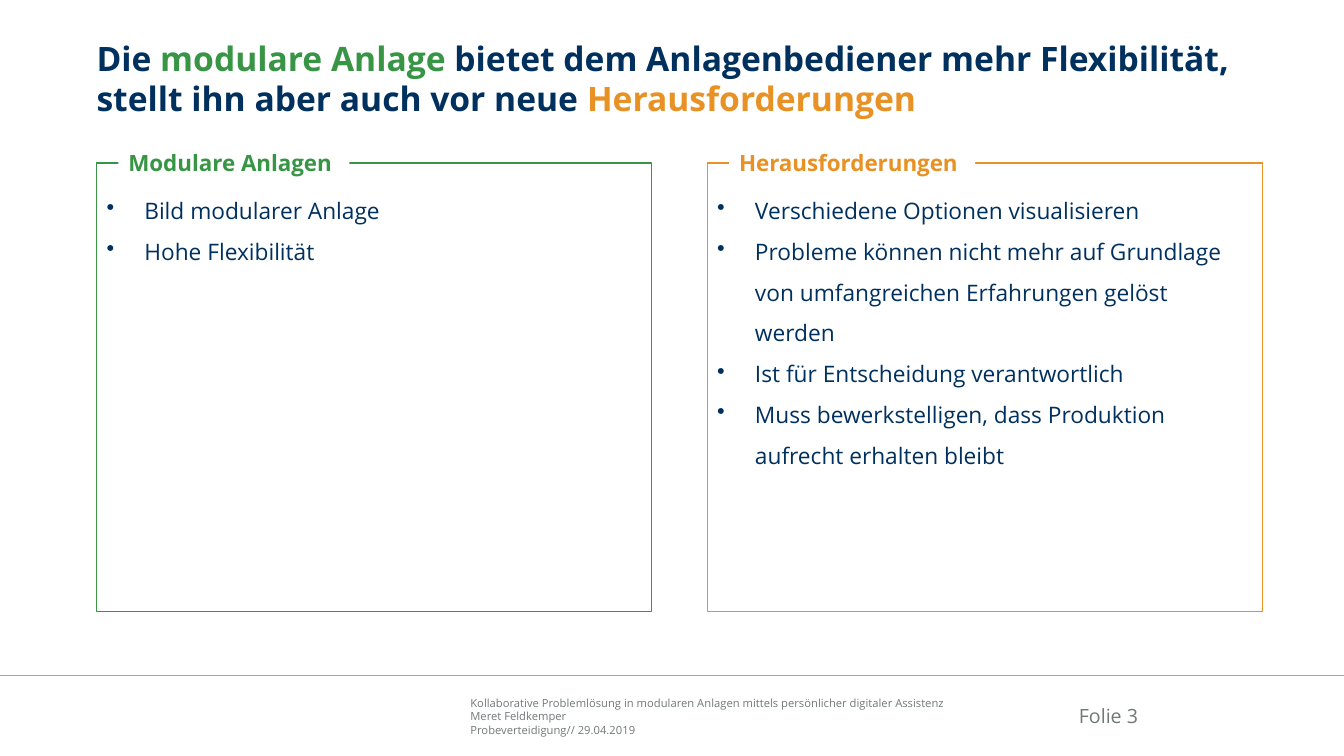
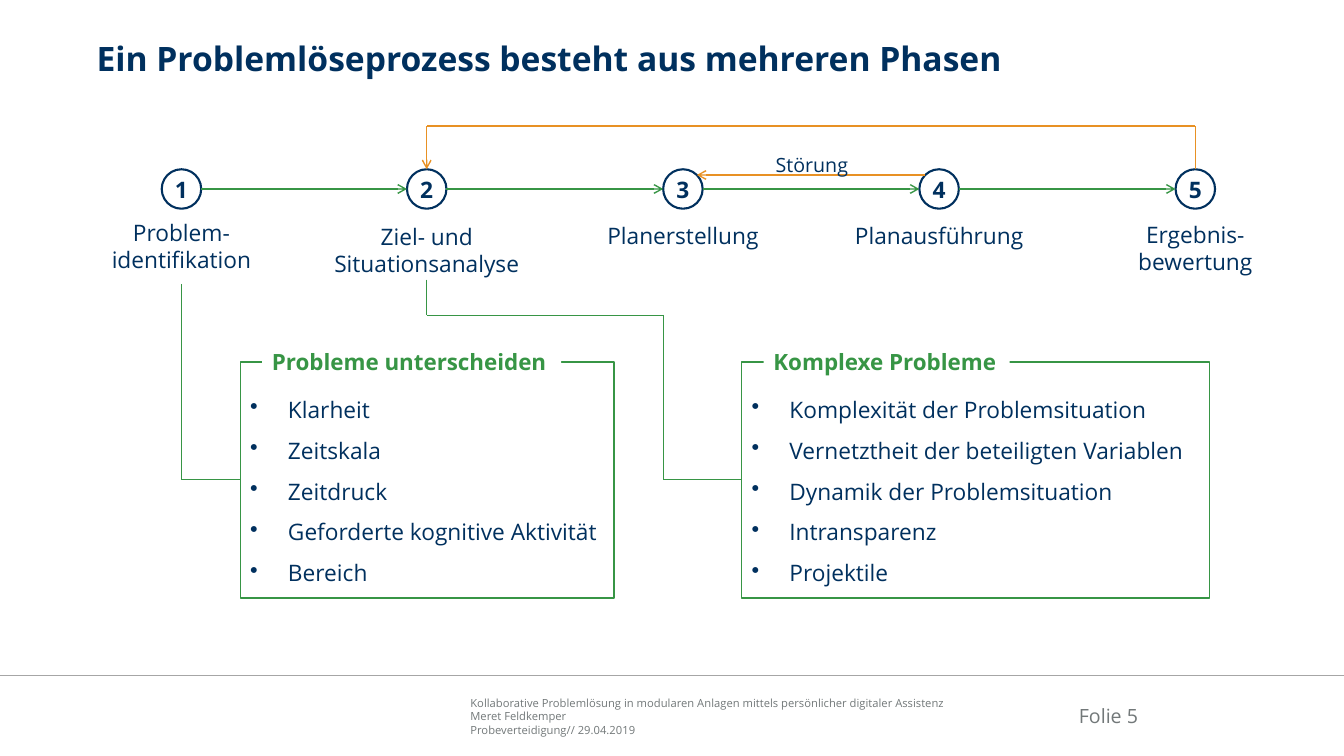
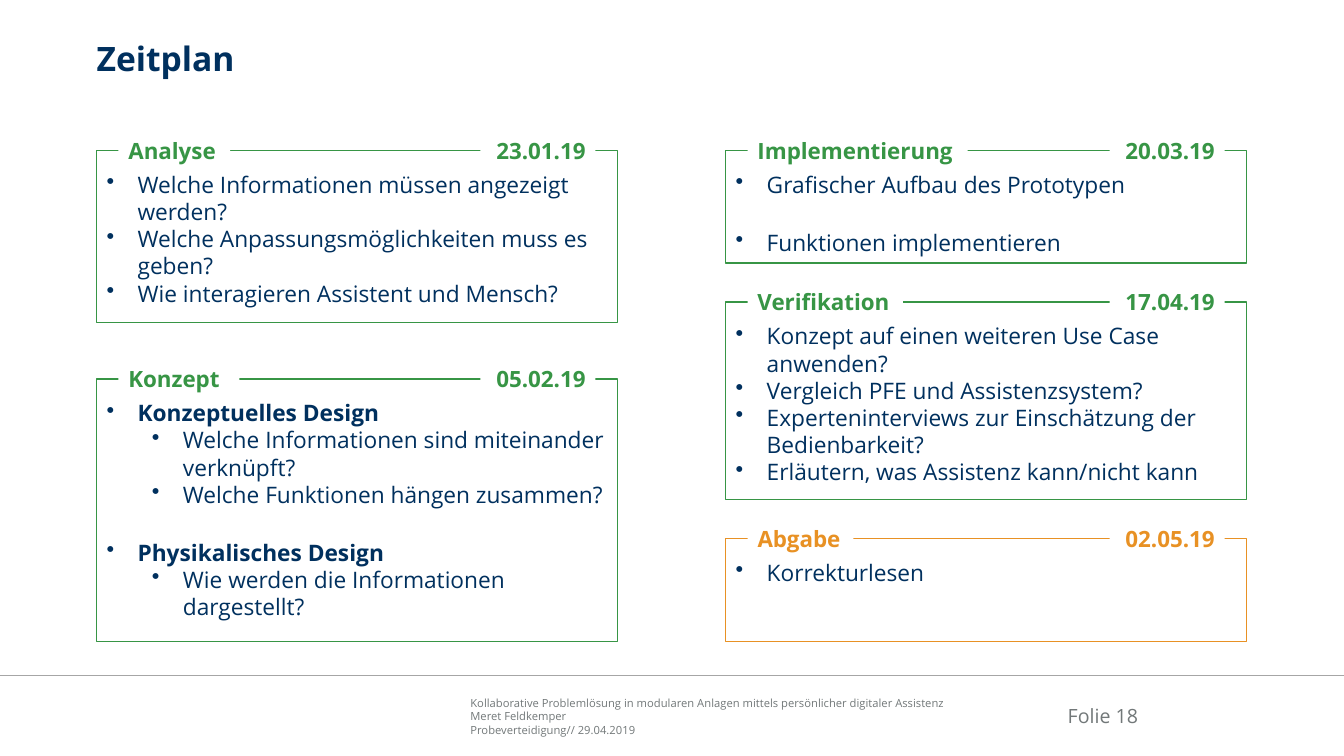
from dataclasses import dataclass
from itertools import pairwise

from lxml import etree
from pptx import Presentation
from pptx.dml.color import RGBColor
from pptx.enum.shapes import MSO_CONNECTOR, MSO_SHAPE
from pptx.enum.text import MSO_ANCHOR, PP_ALIGN
from pptx.oxml.ns import qn
from pptx.util import Inches, Pt

LEFT, CENTER, RIGHT = PP_ALIGN.LEFT, PP_ALIGN.CENTER, PP_ALIGN.RIGHT
TOP, MIDDLE, BOTTOM = MSO_ANCHOR.TOP, MSO_ANCHOR.MIDDLE, MSO_ANCHOR.BOTTOM
RECTANGLE, OVAL = MSO_SHAPE.RECTANGLE, MSO_SHAPE.OVAL
STRAIGHT = MSO_CONNECTOR.STRAIGHT

NAVY = RGBColor(0x00, 0x30, 0x5E)
GREEN = RGBColor(0x37, 0x95, 0x45)
ORANGE = RGBColor(0xE8, 0x91, 0x24)
GREY = RGBColor(0x72, 0x78, 0x79)
RULE_GREY = RGBColor(0xA6, 0xA6, 0xA6)
WHITE = RGBColor(0xFF, 0xFF, 0xFF)

FONT = "Open Sans"
BODY_SIZE = 16.2
BLANK_LAYOUT = 6

# Square grid cells, one twelfth of an inch each
COLUMNS, ROWS = 160, 90
MARGIN = 11.5
INSETS = (1.2, 0.6, 1.2, 0.6)
FRAME_INSETS = (1.2, 2.4, 1.2, 0.6)
LABEL_INSETS = (1.2, 1.2, 1.2, 0.6)
NO_INSETS = (0, 0, 0, 0)
TAG_HEIGHT, TAG_OFFSET, DATE_WIDTH = 4.4, 2.6, 13.7
CIRCLE_SIZE, CIRCLE_MIDDLE = 4.7, 22.5

FOOTER = [
    "Kollaborative Problemlösung in modularen Anlagen mittels persönlicher digitaler Assistenz",
    "Meret Feldkemper",
    "Probeverteidigung// 29.04.2019",
]


@dataclass
class Item:
    """A bullet; gap is the space before it in points."""
    text: str
    level: int = 0
    bold: bool = False
    gap: float = 0


class Deck:
    def __init__(self):
        self.presentation = Presentation()
        self.presentation.slide_width = Inches(COLUMNS / 12)
        self.presentation.slide_height = Inches(ROWS / 12)
        self.cell = self.presentation.slide_width / COLUMNS
        self.slide = None

    def cells(self, *counts):
        return [round(count * self.cell) for count in counts]

    def new_slide(self, number, *title_parts):
        """Start a slide; each title part is a (text, colour) pair."""
        layout = self.presentation.slide_layouts[BLANK_LAYOUT]
        self.slide = self.presentation.slides.add_slide(layout)
        self.text((56, 82.9, 59, 4.8), FOOTER, 8, GREY, anchor=BOTTOM)
        self.route([(0, 80.4), (COLUMNS, 80.4)], RULE_GREY)
        self.text((123.5, 83, 12, 3.6), [f"Folie {number}"], 14, GREY,
                  align=RIGHT, anchor=BOTTOM)
        title = self.text((MARGIN, 4.5, 139, 9), [""], 24, NAVY, bold=True)
        for text, color in title_parts:
            run = title.text_frame.paragraphs[0].add_run()
            run.text = text
            run.font.color.rgb = color

    def style(self, paragraph, size, color, bold=False, align=LEFT, spacing=1.0):
        paragraph.alignment = align
        paragraph.line_spacing = spacing
        font = paragraph.font
        font.name, font.size, font.bold = FONT, Pt(size), bold
        font.color.rgb = color

    def prepare(self, shape, insets, anchor):
        text_frame = shape.text_frame
        text_frame.word_wrap = True
        text_frame.vertical_anchor = anchor
        (text_frame.margin_left, text_frame.margin_top,
         text_frame.margin_right, text_frame.margin_bottom) = self.cells(*insets)
        return text_frame

    def text(self, box, lines, size=BODY_SIZE, color=NAVY, bold=False,
             align=LEFT, anchor=TOP, insets=NO_INSETS, spacing=1.0):
        shape = self.slide.shapes.add_textbox(*self.cells(*box))
        self.fill_text(shape, lines, size, color, bold, align, anchor, insets, spacing)
        return shape

    def fill_text(self, shape, lines, size, color, bold, align, anchor, insets, spacing=1.0):
        text_frame = self.prepare(shape, insets, anchor)
        text_frame.text = "\n".join(lines)
        for paragraph in text_frame.paragraphs:
            self.style(paragraph, size, color, bold, align, spacing)

    def shape(self, kind, box, fill=None, line=None, width=1):
        shape = self.slide.shapes.add_shape(kind, *self.cells(*box))
        shape.shadow.inherit = False
        if fill is None:
            shape.fill.background()
        else:
            shape.fill.solid()
            shape.fill.fore_color.rgb = fill
        if line is None:
            shape.line.fill.background()
        else:
            shape.line.color.rgb = line
            shape.line.width = Pt(width)
        return shape

    def tag(self, left, frame_top, width, text, color, align=LEFT):
        """White label that interrupts the top edge of a frame."""
        box = (left, frame_top - TAG_HEIGHT / 2, width, TAG_HEIGHT)
        shape = self.shape(RECTANGLE, box, WHITE)
        self.fill_text(shape, [text], 16, color, True, align, MIDDLE, INSETS)

    def frame(self, box, heading, heading_width, items, color=GREEN,
              date=None, spacing=1.5, indent=4.5):
        left, top, width, _ = box
        shape = self.shape(RECTANGLE, box, WHITE, color)
        text_frame = self.prepare(shape, FRAME_INSETS, TOP)
        for index, entry in enumerate(items):
            item = entry if isinstance(entry, Item) else Item(entry)
            paragraph = text_frame.paragraphs[0] if index == 0 else text_frame.add_paragraph()
            paragraph.text = item.text
            self.bullet(paragraph, indent, item.level)
            paragraph.space_before = Pt(item.gap)
            self.style(paragraph, BODY_SIZE, NAVY, item.bold, spacing=spacing)
        self.tag(left + TAG_OFFSET, top, heading_width, heading, color)
        if date:
            date_left = left + width - TAG_OFFSET - DATE_WIDTH
            self.tag(date_left, top, DATE_WIDTH, date, color, RIGHT)

    def bullet(self, paragraph, indent, level):
        paragraph.level = level
        margin, hanging = self.cells(indent + level * 5.4, indent)
        properties = paragraph._p.get_or_add_pPr()
        properties.set("marL", str(margin))
        properties.set("indent", str(-hanging))
        etree.SubElement(properties, qn("a:buChar"), char="•")

    def stack(self, left, top, gap, frames):
        """Place dated frames below each other with equal gaps."""
        for height, heading, heading_width, date, color, items in frames:
            self.frame((left, top, 62, height), heading, heading_width, items,
                       color, date, spacing=1.0, indent=3.7)
            top += height + gap

    def phase(self, number, center, label, label_top):
        radius = CIRCLE_SIZE / 2
        box = (center - radius, CIRCLE_MIDDLE - radius, CIRCLE_SIZE, CIRCLE_SIZE)
        circle = self.shape(OVAL, box, line=NAVY, width=1.5)
        self.fill_text(circle, [str(number)], BODY_SIZE, NAVY, True, CENTER, MIDDLE, NO_INSETS)
        circle.text_frame.word_wrap = False
        self.text((center - 12.5, label_top, 25, 8), label, align=CENTER, insets=LABEL_INSETS)

    def connector(self, start, end, color, width, arrow):
        connector = self.slide.shapes.add_connector(STRAIGHT, *self.cells(*start, *end))
        connector.line.color.rgb = color
        connector.line.width = Pt(width)
        if arrow:
            etree.SubElement(connector.line._get_or_add_ln(), qn("a:tailEnd"), type="arrow")
        etree.SubElement(connector._element.spPr, qn("a:effectLst"))

    def route(self, points, color, width=1, arrow=False):
        """Line through all points, with an optional arrowhead at the last."""
        for start, end in pairwise(points):
            self.connector(start, end, color, width, arrow and end == points[-1])


def add_flexibility_slide(deck):
    deck.new_slide(
        3,
        ("Die ", NAVY),
        ("modulare Anlage ", GREEN),
        ("bietet dem Anlagenbediener mehr Flexibilität, stellt ihn aber auch vor neue ", NAVY),
        ("Herausforderungen", ORANGE),
    )
    top, width, height = 19.4, 66.1, 53.4
    deck.frame((MARGIN, top, width, height), "Modulare Anlagen", 27.5,
               ["Bild modularer Anlage", "Hohe Flexibilität"])
    deck.frame((84.2, top, width, height), "Herausforderungen", 29.3, [
        "Verschiedene Optionen visualisieren",
        "Probleme können nicht mehr auf Grundlage von umfangreichen Erfahrungen gelöst werden",
        "Ist für Entscheidung verantwortlich",
        "Muss bewerkstelligen, dass Produktion aufrecht erhalten bleibt",
    ], ORANGE)


def add_process_slide(deck):
    deck.new_slide(5, ("Ein Problemlöseprozess besteht aus mehreren Phasen", NAVY))
    top, height = 43.1, 28.1
    deck.frame((28.6, top, 44.5, height), "Probleme unterscheiden", 35.6, [
        "Klarheit", "Zeitskala", "Zeitdruck", "Geforderte kognitive Aktivität", "Bereich",
    ])
    deck.frame((88.3, top, 55.7, height), "Komplexe Probleme", 29.3, [
        "Komplexität der Problemsituation",
        "Vernetztheit der beteiligten Variablen",
        "Dynamik der Problemsituation",
        "Intransparenz",
        "Projektile",
    ])

    first, second, step = 21.6, 50.8, 30.5
    centers = [first] + [second + step * index for index in range(4)]
    labels = [
        ["Problem-", "identifikation"],
        ["Ziel- und", "Situationsanalyse"],
        ["Planerstellung"],
        ["Planausführung"],
        ["Ergebnis-", "bewertung"],
    ]
    label_tops = [24.8, 25.3, 25.2, 25.2, 25.1]
    for number, values in enumerate(zip(centers, labels, label_tops), 1):
        deck.phase(number, *values)

    radius = CIRCLE_SIZE / 2
    for source, target in pairwise(centers):
        deck.route([(source + radius, CIRCLE_MIDDLE), (target - radius, CIRCLE_MIDDLE)],
                   GREEN, arrow=True)

    diagonal = radius * 0.71
    return_height = CIRCLE_MIDDLE - diagonal
    _, _, planning, execution, last = centers
    deck.route([(execution - diagonal, return_height), (planning + diagonal, return_height)],
               ORANGE, arrow=True)

    loop_top, circle_top = 15, CIRCLE_MIDDLE - radius
    deck.route([(last, circle_top), (last, loop_top), (second, loop_top), (second, circle_top)],
               ORANGE, arrow=True)
    deck.text((85.2, 16.2, 22.9, 4.6), ["Störung"], 14, align=CENTER,
              insets=INSETS, spacing=1.5)

    frame_middle, turn, drop = 57.1, 37.5, 79
    deck.route([(first, 33.8), (first, frame_middle), (28.6, frame_middle)], GREEN, 0.5)
    deck.route([(second, 33.3), (second, turn), (drop, turn),
                (drop, frame_middle), (88.3, frame_middle)], GREEN, 0.5)


def add_schedule_slide(deck):
    deck.new_slide(18, ("Zeitplan", NAVY))
    top, line_gap = 17.9, 22
    deck.stack(MARGIN, top, 6.7, [
        (20.5, "Analyse", 13.3, "23.01.19", GREEN, [
            "Welche Informationen müssen angezeigt werden?",
            "Welche Anpassungsmöglichkeiten muss es geben?",
            "Wie interagieren Assistent und Mensch?",
        ]),
        (31.3, "Konzept", 14.4, "05.02.19", GREEN, [
            Item("Konzeptuelles Design", bold=True),
            Item("Welche Informationen sind miteinander verknüpft?", level=1),
            Item("Welche Funktionen hängen zusammen?", level=1),
            Item("Physikalisches Design", bold=True, gap=line_gap),
            Item("Wie werden die Informationen dargestellt?", level=1),
        ]),
    ])
    deck.stack(86.4, top, 4.65, [
        (13.4, "Implementierung", 26.2, "20.03.19", GREEN, [
            "Grafischer Aufbau des Prototypen",
            Item("Funktionen implementieren", gap=line_gap),
        ]),
        (23.5, "Verifikation", 18.5, "17.04.19", GREEN, [
            "Konzept auf einen weiteren Use Case anwenden?",
            "Vergleich PFE und Assistenzsystem?",
            "Experteninterviews zur Einschätzung der Bedienbarkeit?",
            "Erläutern, was Assistenz kann/nicht kann",
        ]),
        (12.3, "Abgabe", 12.6, "02.05.19", ORANGE, ["Korrekturlesen"]),
    ])


def main():
    deck = Deck()
    add_flexibility_slide(deck)
    add_process_slide(deck)
    add_schedule_slide(deck)
    deck.presentation.save("out.pptx")


if __name__ == "__main__":
    main()
